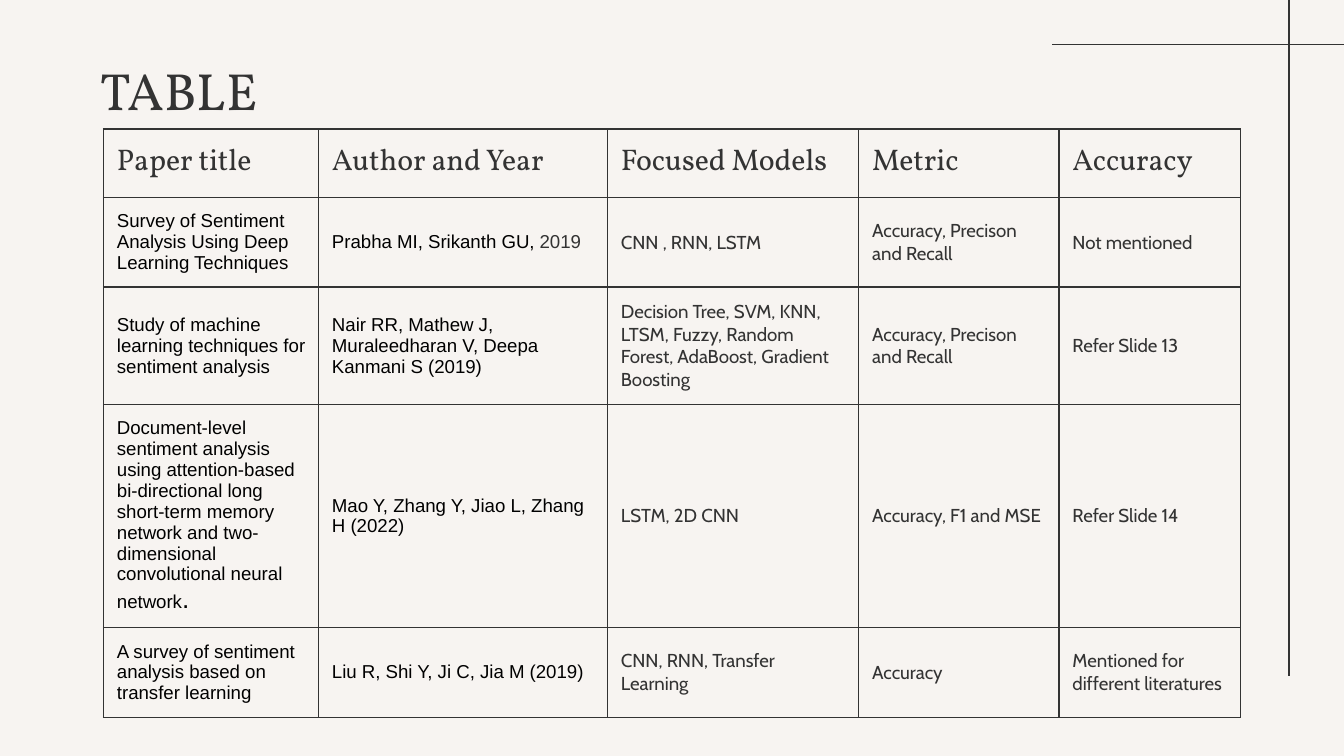
from dataclasses import dataclass

from lxml import etree
from pptx import Presentation
from pptx import util as u
from pptx.dml.color import RGBColor
from pptx.enum import shapes, text
from pptx.oxml import ns


@dataclass(frozen=True)
class Type:
    font: str
    size: int
    color: str


@dataclass(frozen=True)
class Theme:
    background: str = "F7F4F1"
    line: str = "333333"
    line_width: float = 0.75
    inset: float = 0.1
    title: Type = Type("Vollkorn", 28, "333333")
    header: Type = Type("Vollkorn", 16, "333333")
    citation: Type = Type("Arial", 10, "000000")
    year: Type = Type("Arial", 10, "333333")
    full_stop: Type = Type("Arial", 14, "000000")
    detail: Type = Type("Cabin", 10, "333333")


COLUMN_WIDTHS = (1.6, 2.15, 1.87, 1.49, 1.35)
HEADER_HEIGHT, ROW_HEIGHT = 0.51, 0.52
CITATION_COLUMNS = 2
HEADERS = ("Paper title", "Author and Year", "Focused Models", "Metric", "Accuracy")
PAPERS = (
    ("Survey of Sentiment Analysis Using Deep Learning Techniques",
     "Prabha MI, Srikanth GU, ", "CNN , RNN, LSTM",
     "Accuracy, Precison and Recall", "Not mentioned"),
    ("Study of machine learning techniques for sentiment analysis",
     "Nair RR, Mathew J, Muraleedharan V, Deepa Kanmani S (2019)",
     "Decision Tree, SVM, KNN, LTSM, Fuzzy, Random Forest, AdaBoost, Gradient Boosting",
     "Accuracy, Precison and Recall", "Refer Slide 13"),
    ("Document-level sentiment analysis using attention-based bi-directional long "
     "short-term memory network and two-dimensional convolutional neural network",
     "Mao Y, Zhang Y, Jiao L, Zhang H (2022)", "LSTM, 2D CNN",
     "Accuracy, F1 and MSE", "Refer Slide 14"),
    ("A survey of sentiment analysis based on transfer learning",
     "Liu R, Shi Y, Ji C, Jia M (2019)", "CNN, RNN, Transfer Learning",
     "Accuracy", "Mentioned for \vdifferent literatures"),
)


class SlideBuilder:
    def __init__(self, page, theme):
        self.page = page
        self.theme = theme
        fill = page.background.fill
        fill.solid()
        fill.fore_color.rgb = RGBColor.from_string(theme.background)

    def style(self, span, kind):
        span.font.name = kind.font
        span.font.size = u.Pt(kind.size)
        span.font.color.rgb = RGBColor.from_string(kind.color)

    def set_insets(self, holder):
        for side in ("left", "top", "right", "bottom"):
            setattr(holder, f"margin_{side}", u.Inches(self.theme.inset))

    def title(self, words, left, top, width, height):
        box = self.page.shapes.title
        box.left, box.top = u.Inches(left), u.Inches(top)
        box.width, box.height = u.Inches(width), u.Inches(height)
        frame = box.text_frame
        frame.text = words
        frame.vertical_anchor = text.MSO_ANCHOR.TOP
        frame.auto_size = text.MSO_AUTO_SIZE.NONE
        self.set_insets(frame)
        para = frame.paragraphs[0]
        para.alignment = text.PP_ALIGN.LEFT
        self.style(para.runs[0], self.theme.title)

    def line(self, x1, y1, x2, y2):
        connector = self.page.shapes.add_connector(
            shapes.MSO_CONNECTOR.STRAIGHT, *map(u.Inches, (x1, y1, x2, y2)))
        connector.line.color.rgb = RGBColor.from_string(self.theme.line)
        connector.line.width = u.Pt(self.theme.line_width)
        etree.SubElement(connector.element.spPr, ns.qn("a:effectLst"))

    def border(self, cell):
        properties = cell._tc.get_or_add_tcPr()
        for index, side in enumerate("LRTB"):
            edge = etree.Element(ns.qn(f"a:ln{side}"), w=str(u.Pt(self.theme.line_width)))
            fill = etree.SubElement(edge, ns.qn("a:solidFill"))
            etree.SubElement(fill, ns.qn("a:srgbClr"), val=self.theme.line)
            properties.insert(index, edge)

    def cell(self, cell, words, kind):
        cell.text_frame.text = words
        cell.vertical_anchor = text.MSO_ANCHOR.MIDDLE
        self.set_insets(cell)
        cell.fill.background()
        self.border(cell)
        for span in cell.text_frame.paragraphs[0].runs:
            self.style(span, kind)

    def append(self, cell, words, kind):
        """Continue a cell's text in another type style."""
        span = cell.text_frame.paragraphs[0].add_run()
        span.text = words
        self.style(span, kind)

    def table(self, left, top, height):
        """Draw the papers; rows grow to fit their text."""
        rows = (HEADERS, *PAPERS)
        frame = self.page.shapes.add_table(
            len(rows), len(HEADERS), u.Inches(left), u.Inches(top),
            u.Inches(sum(COLUMN_WIDTHS)), u.Inches(height))
        table = frame.table
        table.first_row = table.horz_banding = False
        for column, width in zip(table.columns, COLUMN_WIDTHS):
            column.width = u.Inches(width)
        for r, words in enumerate(rows):
            table.rows[r].height = u.Inches(ROW_HEIGHT if r else HEADER_HEIGHT)
            for c, entry in enumerate(words):
                if r == 0:
                    kind = self.theme.header
                else:
                    kind = self.theme.citation if c < CITATION_COLUMNS else self.theme.detail
                self.cell(table.cell(r, c), entry, kind)
        frame.height = u.Inches(height)
        return table


def main():
    deck = Presentation()
    deck.slide_width = u.Inches(10)
    deck.slide_height = deck.slide_width * 9 // 16
    theme = Theme()
    title_only = deck.slide_layouts[5]
    builder = SlideBuilder(deck.slides.add_slide(title_only), theme)
    builder.title("TABLE", 0.65, 0.33, 8.43, 0.49)
    papers = builder.table(0.77, 0.96, 4.54)
    builder.append(papers.cell(1, 1), "2019", theme.year)
    builder.append(papers.cell(3, 0), ".", theme.full_stop)
    builder.line(7.83, 0.33, 10.1, 0.33)
    builder.line(9.59, 5.03, 9.59, -0.03)
    deck.save("out.pptx")


if __name__ == "__main__":
    main()
